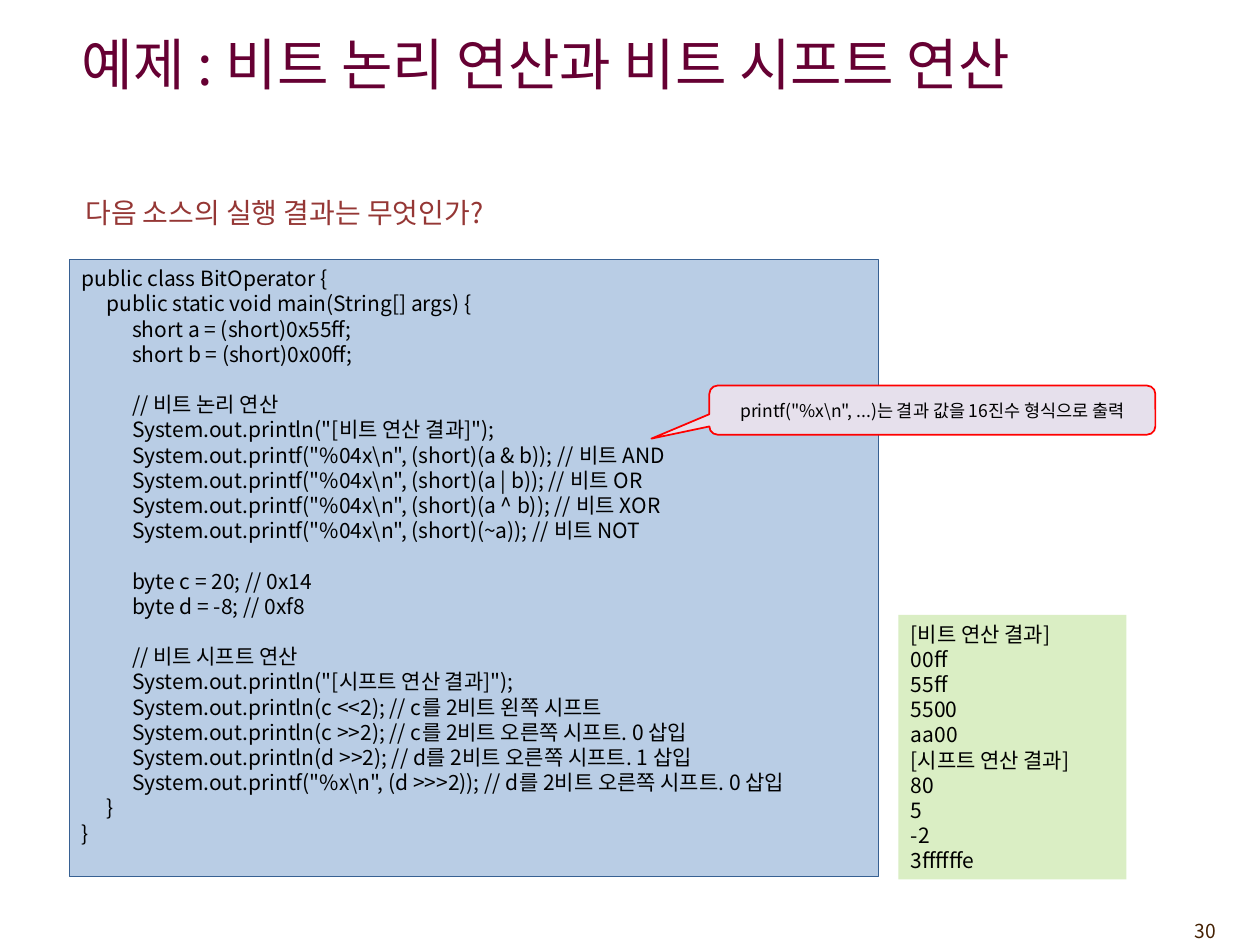
import pptx
import pptx.dml.color
import pptx.enum.shapes
import pptx.enum.text
import pptx.oxml.ns
import pptx.util
from lxml import etree

FONT = "Noto Sans CJK KR"
COLS, ROWS = 100, 75
UNIT = pptx.util.Inches(0.1)  # one grid step, both ways
PITCH = 1.2  # line height as a share of the text size
TAB = pptx.util.Inches(0.2)

HUES = {
    "title": "660033",
    "ask": "953735",
    "page": "452103",
    "ink": "000000",
    "code": "B9CDE5",
    "edge": "376092",
    "output": "DAEEC4",
    "note": "E6E0EC",
    "alert": "FF0000",
}

KIND = pptx.enum.shapes.MSO_SHAPE
ALIGN = pptx.enum.text.PP_ALIGN
ANCHOR = pptx.enum.text.MSO_ANCHOR

SETUP = """public class BitOperator {
    public static void main(String[] args) {
        short a = (short)0x55ff;
        short b = (short)0x00ff;"""

LOGIC = r"""        // 비트 논리 연산
        System.out.println("[비트 연산 결과]");
        System.out.printf("%04x\n", (short)(a & b)); // 비트 AND
        System.out.printf("%04x\n", (short)(a | b)); // 비트 OR
        System.out.printf("%04x\n", (short)(a ^ b)); // 비트 XOR
        System.out.printf("%04x\n", (short)(~a)); // 비트 NOT"""

BYTES = """        byte c = 20; // 0x14
        byte d = -8; // 0xf8"""

SHIFT = r"""        // 비트 시프트 연산
        System.out.println("[시프트 연산 결과]");
        System.out.println(c <<2); // c를 2비트 왼쪽 시프트
        System.out.println(c >>2); // c를 2비트 오른쪽 시프트. 0 삽입
        System.out.println(d >>2); // d를 2비트 오른쪽 시프트. 1 삽입
        System.out.printf("%x\n", (d >>>2)); // d를 2비트 오른쪽 시프트. 0 삽입
    }
}"""

OUTPUT = """[비트 연산 결과]
00ff
55ff
5500
aa00
[시프트 연산 결과]
80
5
-2
3ffffffe"""


def color(name):
    return pptx.dml.color.RGBColor.from_string(HUES[name])


def place(cells):
    return [round(cell * UNIT) for cell in cells]


def apply(target, values):
    for name, value in values.items():
        setattr(target, name, value)


def add_tabs(para):
    """Set evenly spaced left tab stops."""
    stops = etree.SubElement(para._p.get_or_add_pPr(), pptx.oxml.ns.qn("a:tabLst"))
    for step in range(1, 8):
        etree.SubElement(stops, pptx.oxml.ns.qn("a:tab"), pos=str(TAB * step), algn="l")


def write(frame, blocks, size, hue="ink", align=ALIGN.LEFT, anchor=ANCHOR.TOP):
    """Fill a frame line by line, with one line of space between blocks."""
    apply(frame, {"word_wrap": True, "vertical_anchor": anchor})
    lead = pptx.util.Pt(size * PITCH)
    for index, block in enumerate(blocks):
        for row, line in enumerate(block.split("\n")):
            first = index == row == 0
            para = frame.paragraphs[0] if first else frame.add_paragraph()
            if line.startswith("    "):
                add_tabs(para)
            gap = lead if index and not row else pptx.util.Pt(0)
            apply(para, {"alignment": align, "line_spacing": lead, "space_before": gap})
            run = para.add_run()
            run.text = line.replace("    ", "\t")
            apply(run.font, {"name": FONT, "size": pptx.util.Pt(size)})
            run.font.color.rgb = color(hue)
            etree.SubElement(run._r.get_or_add_rPr(), pptx.oxml.ns.qn("a:ea"),
                             typeface=FONT)


def add_label(slide, cells, text, size, hue, **style):
    box = slide.shapes.add_textbox(*place(cells))
    write(box.text_frame, [text], size, hue, **style)


def add_panel(slide, kind, cells, fill, blocks, size, line=None, width=1, **style):
    panel = slide.shapes.add_shape(kind, *place(cells))
    panel.shadow.inherit = False
    panel.fill.solid()
    panel.fill.fore_color.rgb = color(fill)
    if line:
        panel.line.color.rgb = color(line)
        panel.line.width = pptx.util.Pt(width)
    else:
        panel.line.fill.background()
    write(panel.text_frame, blocks, size, **style)
    return panel


def main():
    deck = pptx.Presentation()
    apply(deck, {"slide_width": COLS * UNIT, "slide_height": ROWS * UNIT})
    slide = deck.slides.add_slide(deck.slide_layouts[6])

    add_label(slide, (89.2, 72.5, 8.3, 2.9), "30", 11, "page", align=ALIGN.RIGHT)
    add_label(slide, (5.5, 1.3, 89.2, 7.4), "예제 : 비트 논리 연산과 비트 시프트 연산",
              32, "title", anchor=ANCHOR.MIDDLE)
    add_panel(slide, KIND.RECTANGLE, (5.5, 20.6, 64.2, 49), "code",
              [SETUP, LOGIC, BYTES, SHIFT], 12, line="edge", width=0.75)
    add_label(slide, (5.8, 15, 57.6, 3.7), "다음 소스의 실행 결과는 무엇인가?", 16, "ask")
    add_panel(slide, KIND.RECTANGLE, (71.3, 48.8, 18.1, 21), "output", [OUTPUT], 12)
    note = add_panel(slide, KIND.ROUNDED_RECTANGULAR_CALLOUT, (56.3, 30.6, 35.4, 3.9),
                     "note", [r'printf("%x\n", ...)는 결과 값을 16진수 형식으로 출력'], 10,
                     line="alert", align=ALIGN.CENTER, anchor=ANCHOR.MIDDLE)
    for index, share in enumerate((-0.63, 0.58, 0.17)):
        note.adjustments[index] = share

    deck.save("out.pptx")


if __name__ == "__main__":
    main()
